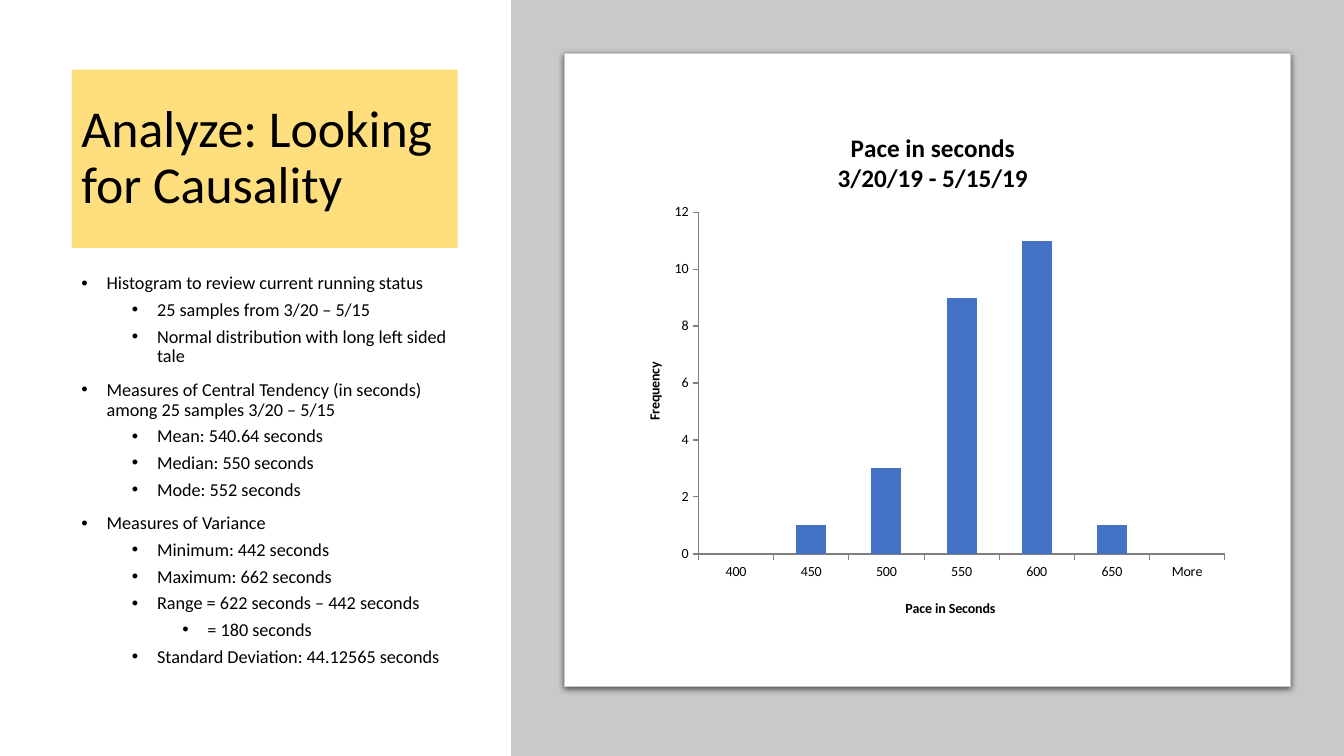
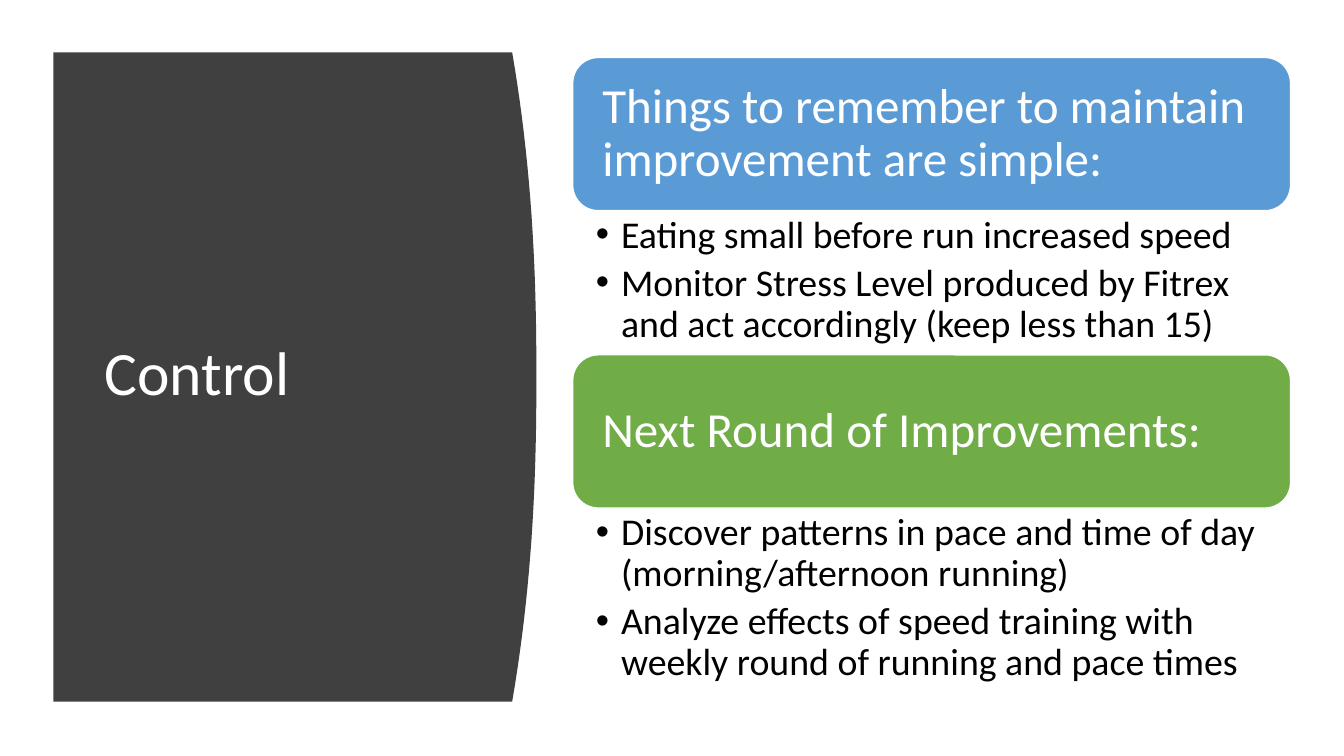
import pptx
import pptx.chart.data
import pptx.dml.color
import pptx.enum.chart
import pptx.enum.shapes
import pptx.enum.text
import pptx.oxml.ns
import pptx.util
from lxml import etree

Inches, Pt = pptx.util.Inches, pptx.util.Pt
RGBColor = pptx.dml.color.RGBColor
SHAPE = pptx.enum.shapes.MSO_SHAPE
ANCHOR = pptx.enum.text.MSO_ANCHOR
qn = pptx.oxml.ns.qn

FONT = "Calibri"
BLACK = RGBColor(0x00, 0x00, 0x00)
WHITE = RGBColor(0xFF, 0xFF, 0xFF)
GOLD = RGBColor(0xFF, 0xC0, 0x00)
PALE_GREY = RGBColor(0xC8, 0xCA, 0xCA)
AXIS_GREY = RGBColor(0x80, 0x80, 0x80)
DARK_GREY = RGBColor(0x40, 0x40, 0x40)
BAR_BLUE = RGBColor(0x44, 0x72, 0xC4)
BLUE = RGBColor(0x5B, 0x9B, 0xD5)
GREEN = RGBColor(0x70, 0xAD, 0x47)


def add_box(s, kind, box, fill, line=None, width=1):
    sp = s.shapes.add_shape(kind, *[Inches(v) for v in box])
    sp.shadow.inherit = False
    sp.fill.solid()
    sp.fill.fore_color.rgb = fill
    if line is None:
        sp.line.fill.background()
    else:
        sp.line.color.rgb = line
        sp.line.width = Pt(width)
    return sp


def write(sp, items, size, color, anchor=ANCHOR.TOP, left=0.1, right=0.1,
          bullets=False, after=0):
    """Fill a shape with (level, text) items."""
    tf = sp.text_frame
    tf.word_wrap = True
    tf.vertical_anchor = anchor
    tf.margin_left, tf.margin_right = Inches(left), Inches(right)
    tf.text = "\n".join(text for level, text in items)
    for p, (level, text) in zip(tf.paragraphs, items):
        p.alignment = pptx.enum.text.PP_ALIGN.LEFT
        p.level = level
        p.line_spacing = 0.9
        p.space_after = Pt(after)
        p.space_before = Pt(0)
        if bullets:
            if not after:
                p.space_before = Pt(5 if level else 10)
            pPr = p._p.get_or_add_pPr()
            pPr.set("marL", str(Inches(0.25 + 0.5 * level)))
            pPr.set("indent", str(Inches(-0.25)))
            etree.SubElement(pPr, qn("a:buFont")).set("typeface", "Arial")
            etree.SubElement(pPr, qn("a:buChar")).set("char", "•")
        for r in p.runs:
            r.font.name = FONT
            r.font.size = Pt(size)
            r.font.color.rgb = color


prs = pptx.Presentation()
prs.slide_width, prs.slide_height = Inches(13.33), Inches(7.5)
blank = prs.slide_layouts[6]

# Slide 1: title and findings
s = prs.slides.add_slide(blank)
title = add_box(s, SHAPE.RECTANGLE, (0.71, 0.69, 3.83, 1.77), GOLD)
gold = title.fill._xPr.find(".//" + qn("a:srgbClr"))
etree.SubElement(gold, qn("a:alpha")).set("val", "51000")
write(title, [(0, "Analyze: Looking for Causality")], 37, BLACK, ANCHOR.MIDDLE)

findings = [
    (0, "Histogram to review current running status"),
    (1, "25 samples from 3/20 – 5/15"),
    (1, "Normal distribution with long left sided tale"),
    (0, "Measures of Central Tendency (in seconds) among 25 samples 3/20 – 5/15"),
    (1, "Mean: 540.64 seconds"),
    (1, "Median: 550 seconds"),
    (1, "Mode: 552 seconds"),
    (0, "Measures of Variance"),
    (1, "Minimum: 442 seconds"),
    (1, "Maximum: 662 seconds"),
    (1, "Range = 622 seconds – 442 seconds"),
    (2, "= 180 seconds"),
    (1, "Standard Deviation: 44.12565 seconds"),
]
body = s.shapes.add_textbox(Inches(0.71), Inches(2.67), Inches(3.83), Inches(4.14))
write(body, findings, 13, BLACK, bullets=True)

# Grey panel and white card with a soft shadow
add_box(s, SHAPE.RECTANGLE, (5.07, 0, 8.26, 7.5), PALE_GREY)
card = add_box(s, SHAPE.ROUNDED_RECTANGLE, (5.6, 0.53, 7.2, 6.28), WHITE,
               PALE_GREY, 0.75)
card.adjustments[0] = 0
effects = card._element.spPr.find(qn("a:effectLst"))
shadow = etree.SubElement(effects, qn("a:outerShdw"), blurRad=str(Pt(4.5)),
                          dist=str(Pt(1.5)), dir="5400000", algn="t",
                          rotWithShape="0")
shade = etree.SubElement(shadow, qn("a:srgbClr"), val=str(BLACK))
etree.SubElement(shade, qn("a:alpha"), val="63000")

# Histogram
data = pptx.chart.data.CategoryChartData()
data.categories = ["400", "450", "500", "550", "600", "650", "More"]
data.add_series("Series 1", [0, 1, 3, 9, 11, 1, 0])
chart = s.shapes.add_chart(
    pptx.enum.chart.XL_CHART_TYPE.COLUMN_CLUSTERED,
    Inches(6.13), Inches(1.06), Inches(6.14), Inches(5.22), data).chart
chart.has_legend = False
chart.font.name = FONT
chart.font.size = Pt(10)
chart.font.color.rgb = BLACK
plot = chart.plots[0]
plot.gap_width = 150
plot.vary_by_categories = False
plot.series[0].format.fill.solid()
plot.series[0].format.fill.fore_color.rgb = BAR_BLUE

cat_axis, val_axis = chart.category_axis, chart.value_axis
val_axis.minimum_scale, val_axis.maximum_scale = 0, 12
val_axis.major_unit = 2
for axis in (cat_axis, val_axis):
    axis.has_major_gridlines = False
    axis.major_tick_mark = pptx.enum.chart.XL_TICK_MARK.OUTSIDE
    axis.format.line.color.rgb = AXIS_GREY

for heading, text, size in (
        (chart.chart_title, "Pace in seconds\n3/20/19 - 5/15/19", 18),
        (cat_axis.axis_title, "Pace in Seconds", 10),
        (val_axis.axis_title, "Frequency", 10)):
    heading.text_frame.text = text
    for p in heading.text_frame.paragraphs:
        for r in p.runs:
            r.font.name = FONT
            r.font.size = Pt(size)
            r.font.bold = True
            r.font.color.rgb = BLACK

# Chart parts placed as fractions of the chart area
plot_area = chart.element.find(".//" + qn("c:plotArea"))
if plot_area.find(qn("c:layout")) is None:
    plot_area.insert(0, plot_area.makeelement(qn("c:layout")))
for part, place in (
        (plot_area, {"x": 0.13, "y": 0.2, "w": 0.85, "h": 0.65}),
        (chart.chart_title.element, {"x": 0.35, "y": 0.04}),
        (cat_axis.axis_title.element, {"x": 0.46, "y": 0.93}),
        (val_axis.axis_title.element, {"x": 0.04, "y": 0.48})):
    layout = etree.SubElement(part.find(qn("c:layout")), qn("c:manualLayout"))
    if part is plot_area:
        etree.SubElement(layout, qn("c:layoutTarget"), val="inner")
    for key in ("x", "y"):
        etree.SubElement(layout, qn("c:" + key + "Mode"), val="edge")
    for key, value in place.items():
        etree.SubElement(layout, qn("c:" + key), val=str(value))

# Slide 2: dark panel with a bulging right edge
s = prs.slides.add_slide(blank)
top, bottom, steps = 0.52, 6.96, 40
middle, half = (top + bottom) / 2, (bottom - top) / 2
edge = []
for i in range(steps + 1):
    y = top + (bottom - top) * i / steps
    x = 5.32 - 0.24 * (abs(y - middle) / half) ** 2.3
    edge.append((Inches(x), Inches(y)))
outline = s.shapes.build_freeform(Inches(0.53), Inches(top))
outline.add_line_segments(edge + [(Inches(0.53), Inches(bottom))], close=True)
panel = outline.convert_to_shape()
panel.shadow.inherit = False
panel.fill.solid()
panel.fill.fore_color.rgb = DARK_GREY
panel.line.fill.background()

title = s.shapes.add_textbox(Inches(0.94), Inches(1.11), Inches(3.74), Inches(5.24))
write(title, [(0, "Control")], 44, WHITE, ANCHOR.MIDDLE)

# Headings with their lists, stacked
sections = [
    ("Things to remember to maintain improvement are simple:", BLUE, 1.43,
     ["Eating small before run increased speed",
      "Monitor Stress Level produced by Fitrex and act accordingly (keep less than 15)"]),
    ("Next Round of Improvements:", GREEN, 1.86,
     ["Discover patterns in pace and time of day (morning/afternoon running)",
      "Analyze effects of speed training with weekly round of running and pace times"]),
]
left, width, head_height, y = 5.68, 7.12, 1.52, 0.57
for heading, color, list_height, points in sections:
    head = add_box(s, SHAPE.ROUNDED_RECTANGLE, (left, y, width, head_height),
                   color, WHITE)
    write(head, [(0, heading)], 35, WHITE, ANCHOR.MIDDLE, 0.22, 0.22)
    y += head_height
    tb = s.shapes.add_textbox(Inches(left), Inches(y), Inches(width),
                              Inches(list_height))
    write(tb, [(0, point) for point in points], 27, BLACK, left=0.23, right=0.27,
          bullets=True, after=5)
    y += list_height

prs.save("out.pptx")
